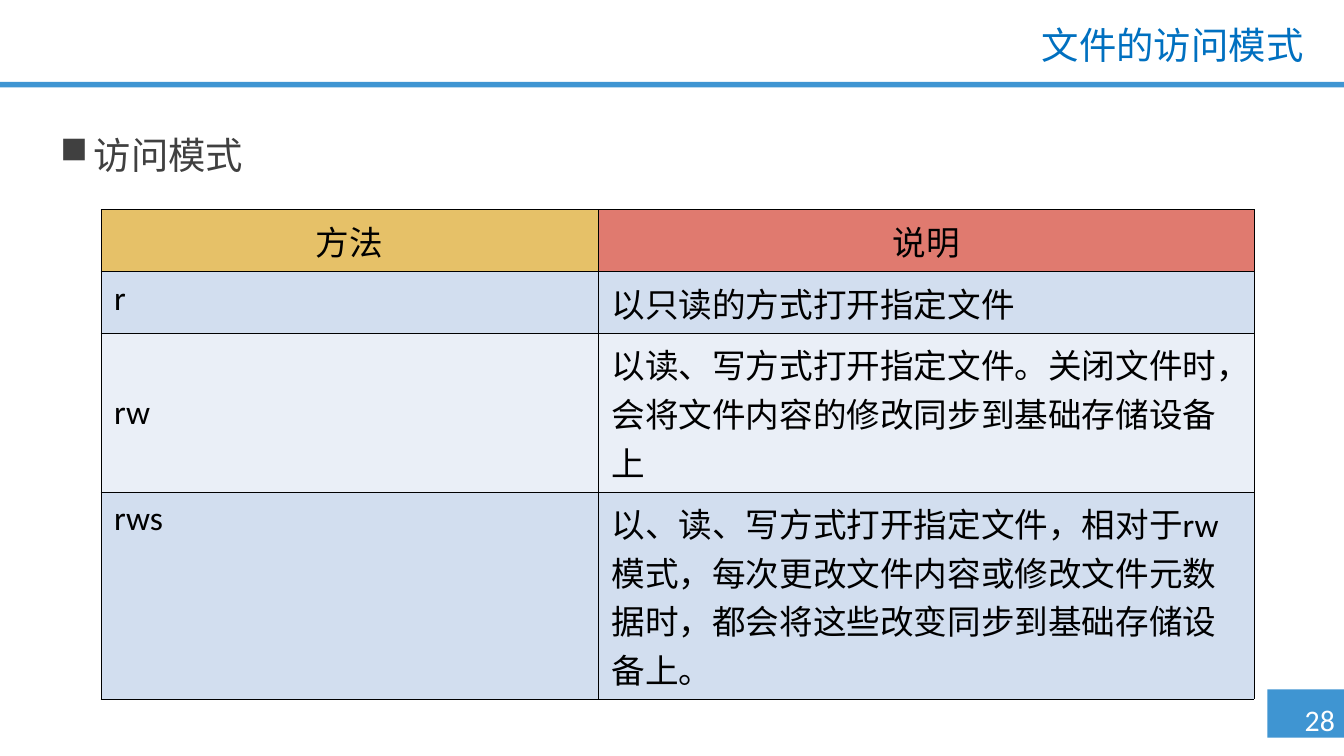
from dataclasses import dataclass

from lxml import etree
from pptx import Presentation
from pptx import util as u
from pptx.dml.color import RGBColor
from pptx.enum import shapes, text
from pptx.oxml import ns


@dataclass(frozen=True)
class Theme:
    accent: str = "3F95D2"
    title: str = "0070C0"
    body: str = "404040"
    ink: str = "000000"
    paper: str = "FFFFFF"
    headers: tuple = ("E6C168", "E07A6F")
    bands: tuple = ("D2DEEF", "EAEFF7")
    title_font: str = "Lato"
    header_font: str = "Arial"
    latin_font: str = "Calibri"
    chinese_font: str = "Noto Sans CJK SC"
    heading_size: int = 20
    table_size: int = 18
    number_size: int = 16
    border: float = 0.25


class Deck:
    COLUMNS, ROWS = 100, 56.25

    def __init__(self, theme):
        self.theme = theme
        self.deck = Presentation()
        self.deck.slide_width = u.Inches(10)
        self.deck.slide_height = u.Inches(5.625)
        self.slide = self.deck.slides.add_slide(self.deck.slide_layouts[5])

    def across(self, columns):
        return round(self.deck.slide_width * columns / self.COLUMNS)

    def down(self, rows):
        return round(self.deck.slide_height * rows / self.ROWS)

    def area(self, left, top, width, height):
        return self.across(left), self.down(top), self.across(width), self.down(height)

    def set_words(self, frame, words, font, size, color, align=text.PP_ALIGN.LEFT):
        frame.text = words
        paragraph = frame.paragraphs[0]
        paragraph.alignment = align
        for run in paragraph.runs:
            run.font.name = font
            run.font.size = u.Pt(size)
            run.font.bold = False
            run.font.color.rgb = RGBColor.from_string(color)
            properties = run._r.get_or_add_rPr()
            east_asian = etree.SubElement(properties, ns.qn("a:ea"))
            east_asian.set("typeface", self.theme.chinese_font)
            properties.find(ns.qn("a:latin")).addnext(east_asian)
        return paragraph

    def bar(self, *grid):
        bar = self.slide.shapes.add_shape(shapes.MSO_SHAPE.RECTANGLE, *self.area(*grid))
        bar.shadow.inherit = False
        bar.fill.solid()
        bar.fill.fore_color.rgb = RGBColor.from_string(self.theme.accent)
        bar.line.fill.background()

    def title(self, words, *grid):
        title = self.slide.shapes.title
        title.left, title.top, title.width, title.height = self.area(*grid)
        title.text_frame.vertical_anchor = text.MSO_ANCHOR.MIDDLE
        paragraph = self.set_words(title.text_frame, words, self.theme.title_font,
                                   self.theme.heading_size, self.theme.title,
                                   text.PP_ALIGN.RIGHT)
        paragraph.line_spacing = 0.9

    def bullet(self, words, *grid):
        frame = self.slide.shapes.add_textbox(*self.area(*grid)).text_frame
        frame.word_wrap = True
        paragraph = self.set_words(frame, words, self.theme.chinese_font,
                                   self.theme.heading_size, self.theme.body)
        paragraph.line_spacing = u.Pt(25)
        properties = paragraph._p.get_or_add_pPr()
        indent = u.Inches(0.25)
        properties.set("marL", str(indent))
        properties.set("indent", str(-indent))
        etree.SubElement(properties, ns.qn("a:buChar")).set("char", "■")

    def page_number(self, words, *grid):
        frame = self.slide.shapes.add_textbox(*self.area(*grid)).text_frame
        frame.word_wrap = False
        self.set_words(frame, words, self.theme.latin_font, self.theme.number_size,
                       self.theme.paper, text.PP_ALIGN.CENTER)

    def cell(self, cell, words, fill, font, align):
        cell.fill.solid()
        cell.fill.fore_color.rgb = RGBColor.from_string(fill)
        self.set_words(cell.text_frame, words, font, self.theme.table_size,
                       self.theme.ink, align)
        properties = cell._tc.get_or_add_tcPr()
        for index, side in enumerate(("lnL", "lnR", "lnT", "lnB")):
            edge = etree.Element(ns.qn(f"a:{side}"), w=str(u.Pt(self.theme.border)))
            paint = etree.SubElement(edge, ns.qn("a:solidFill"))
            etree.SubElement(paint, ns.qn("a:srgbClr")).set("val", self.theme.ink)
            properties.insert(index, edge)

    def table(self, headers, modes, widths, line_counts, left, top):
        heights = [1 + 3.6 * lines for lines in line_counts]
        grid = self.area(left, top, sum(widths), sum(heights))
        table = self.slide.shapes.add_table(len(heights), len(widths), *grid).table
        for column, width in zip(table.columns, widths):
            column.width = self.across(width)
        for row, height in zip(table.rows, heights):
            row.height = self.down(height)
        for column, (words, fill) in enumerate(zip(headers, self.theme.headers)):
            self.cell(table.cell(0, column), words, fill,
                      self.theme.header_font, text.PP_ALIGN.CENTER)
        for row, mode in enumerate(modes, 1):
            band = self.theme.bands[(row - 1) % 2]
            for column, words in enumerate(mode):
                self.cell(table.cell(row, column), words, band,
                          self.theme.latin_font, text.PP_ALIGN.LEFT)
        return table


def main():
    headers = ("方法", "说明")
    modes = (
        ("r", "以只读的方式打开指定文件"),
        ("rw", "以读、写方式打开指定文件。关闭文件时，会将文件内容的修改同步到基础存储设备上"),
        ("rws", "以、读、写方式打开指定文件，相对于rw模式，每次更改文件内容或修改文件元数据时，"
                "都会将这些改变同步到基础存储设备上。"),
    )
    page = Deck(Theme())
    page.bar(94.3, 51.3, 5.7, 3.6)
    page.bar(0, 6.1, 100, 0.4)
    page.page_number("28", 95.6, 51.7, 5.2, 3.7)
    page.title("文件的访问模式", 24, 1.5, 74, 4)
    page.bullet("访问模式", 3.5, 9.2, 91.3, 4.6)
    access = page.table(headers, modes, (37, 48.8), (1, 1, 3, 4), 7.5, 15.6)
    access.cell(2, 0).vertical_anchor = text.MSO_ANCHOR.MIDDLE
    page.deck.save("out.pptx")


if __name__ == "__main__":
    main()
